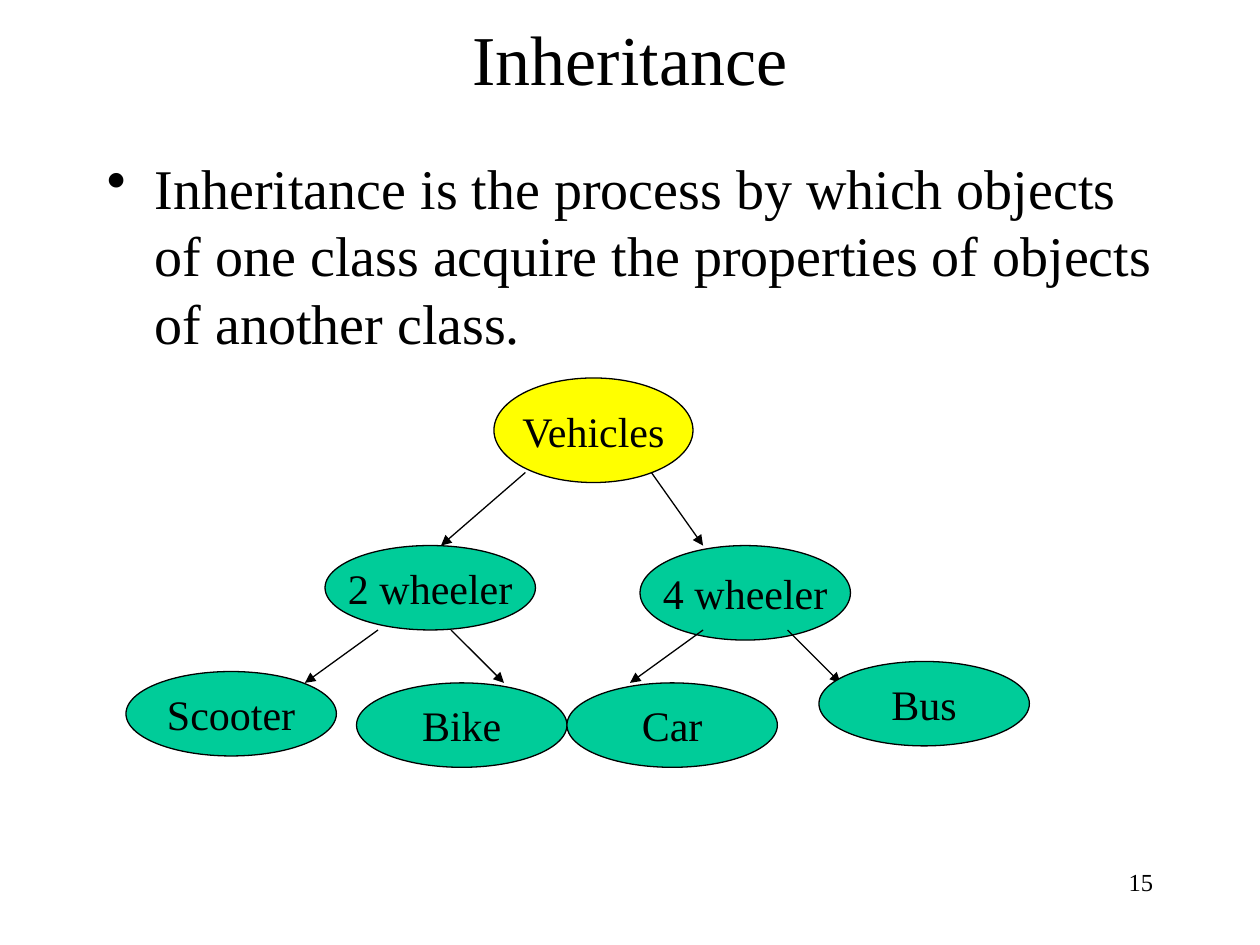
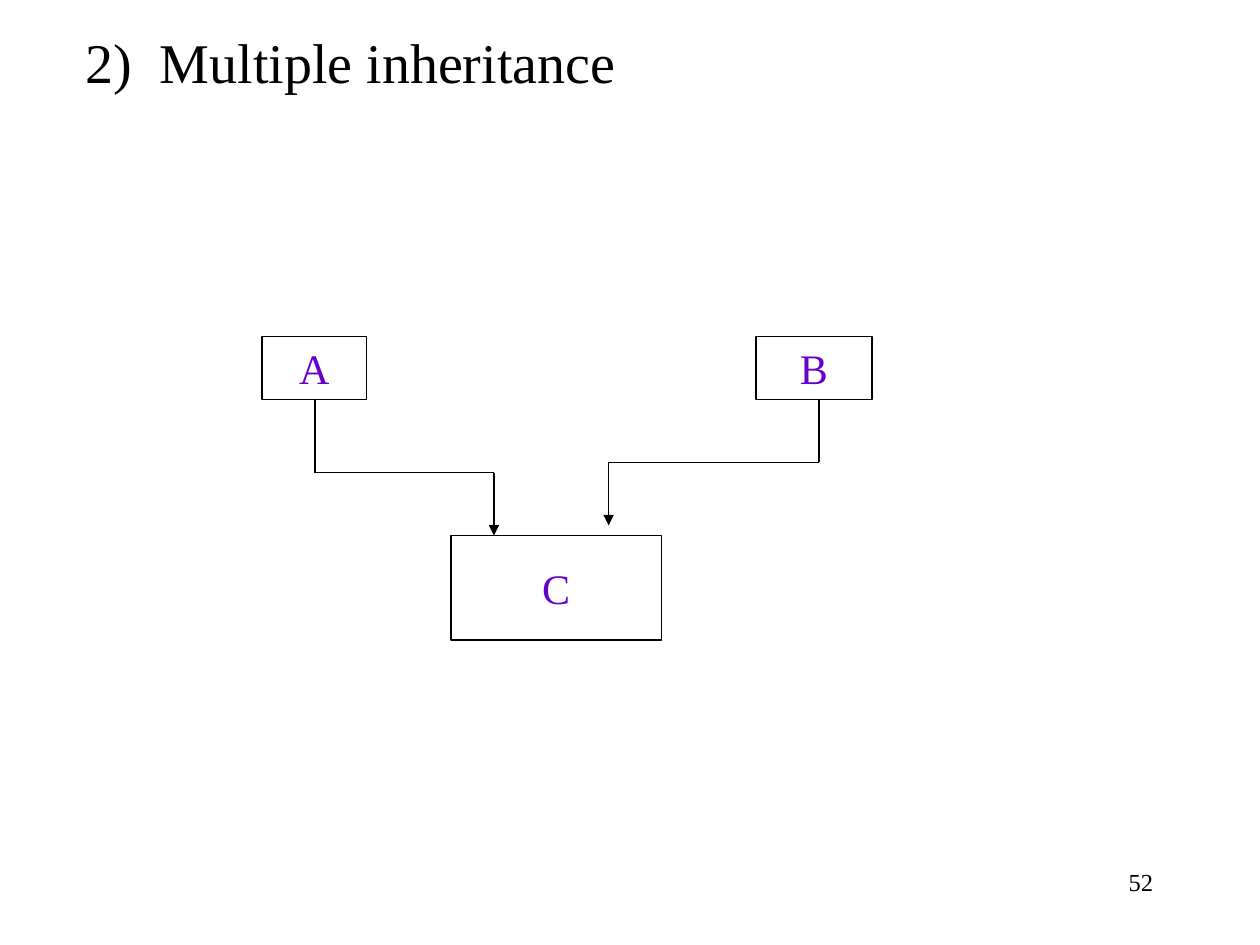
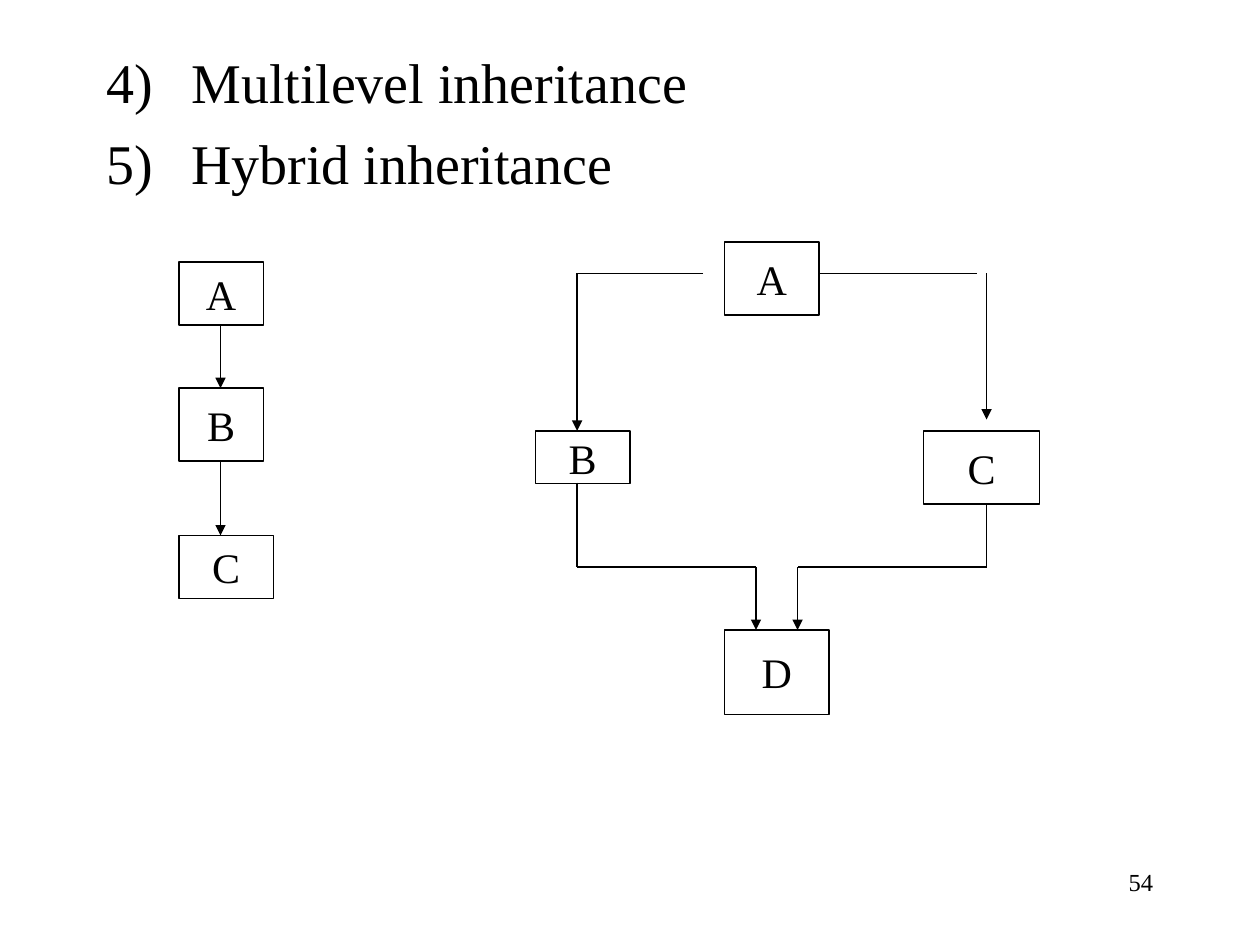
from lxml import etree
from pptx import Presentation
from pptx.dml.color import RGBColor
from pptx.enum.shapes import MSO_CONNECTOR, MSO_SHAPE
from pptx.enum.text import MSO_ANCHOR, PP_ALIGN
from pptx.oxml.ns import qn
from pptx.util import Inches, Pt

BLACK = RGBColor(0x00, 0x00, 0x00)
YELLOW = RGBColor(0xFF, 0xFF, 0x00)
GREEN = RGBColor(0x00, 0xCC, 0x99)
PURPLE = RGBColor(0x66, 0x00, 0xCC)

ELLIPSE, RECTANGLE = MSO_SHAPE.OVAL, MSO_SHAPE.RECTANGLE
STRAIGHT = MSO_CONNECTOR.STRAIGHT
LEFT, CENTER, RIGHT = PP_ALIGN.LEFT, PP_ALIGN.CENTER, PP_ALIGN.RIGHT
TOP, MIDDLE = MSO_ANCHOR.TOP, MSO_ANCHOR.MIDDLE

FONT = "Times New Roman"
TITLE_SIZE, BODY_SIZE, NODE_SIZE, NUMBER_SIZE = 40, 32, 24, 14
LINE_WIDTH = Pt(0.75)
BULLET = ("a:buChar", {"char": "•"})
NUMBERS_FROM_4 = ("a:buAutoNum", {"type": "arabicParenR", "startAt": "4"})


class Deck:
    """Holds the style and the current slide."""

    def __init__(self):
        self.presentation = Presentation()
        self.presentation.slide_width = Inches(10)
        self.presentation.slide_height = Inches(7.5)
        self.slide = None

    def new_slide(self, number):
        layout = self.presentation.slide_layouts[6]
        self.slide = self.presentation.slides.add_slide(layout)
        self.text((7.17, 6.83, 2.08, 0.5), str(number), NUMBER_SIZE, RIGHT)

    def style(self, text_frame, size, alignment, color=BLACK):
        for paragraph in text_frame.paragraphs:
            paragraph.alignment = alignment
            for run in paragraph.runs:
                run.font.name = FONT
                run.font.size = Pt(size)
                run.font.color.rgb = color

    def text(self, box, text, size, alignment=LEFT, anchor=TOP):
        shape = self.slide.shapes.add_textbox(*map(Inches, box))
        text_frame = shape.text_frame
        text_frame.word_wrap = True
        text_frame.vertical_anchor = anchor
        text_frame.text = text
        self.style(text_frame, size, alignment)
        return text_frame

    def title(self, text):
        self.text((0.75, 0.17, 8.5, 0.58), text, TITLE_SIZE, CENTER, MIDDLE)

    def body(self, box, lines, indent, marker=None):
        text_frame = self.text(box, "\n".join(lines), BODY_SIZE)
        for index, paragraph in enumerate(text_frame.paragraphs):
            properties = paragraph._p.get_or_add_pPr()
            properties.set("marL", str(Inches(indent)))
            properties.set("indent", str(-Inches(indent)))
            if marker:
                tag, attributes = marker
                etree.SubElement(properties, qn(tag), attributes)
            if index:
                paragraph.space_before = Pt(8)

    def node(self, kind, box, label, fill=None, color=BLACK):
        shape = self.slide.shapes.add_shape(kind, *map(Inches, box))
        shape.shadow.inherit = False
        if fill is None:
            shape.fill.background()
        else:
            shape.fill.solid()
            shape.fill.fore_color.rgb = fill
        shape.line.color.rgb = BLACK
        shape.line.width = LINE_WIDTH
        text_frame = shape.text_frame
        text_frame.word_wrap = False
        text_frame.vertical_anchor = MIDDLE
        text_frame.text = label
        self.style(text_frame, NODE_SIZE, CENTER, color)

    def route(self, *points, arrow=True):
        """Joins the points by straight lines, with an arrowhead at the last."""
        for start, end in zip(points, points[1:]):
            connector = self.slide.shapes.add_connector(
                STRAIGHT, *map(Inches, start + end))
            connector.line.color.rgb = BLACK
            connector.line.width = LINE_WIDTH
            etree.SubElement(connector._element.spPr, qn("a:effectLst"))
        if arrow:
            etree.SubElement(connector.line._get_or_add_ln(),
                             qn("a:tailEnd"), {"type": "triangle"})


def inheritance_slide(deck):
    deck.new_slide(15)
    deck.title("Inheritance")
    deck.body((0.75, 1.17, 8.5, 5.5),
              ["Inheritance is the process by which objects of one class "
               "acquire the properties of objects of another class."],
              0.38, BULLET)

    # Vehicle tree
    deck.node(ELLIPSE, (3.92, 3, 1.58, 0.83), "Vehicles", YELLOW)
    wheelers = [("2 wheeler", 2.58, 4.33, 0.67), ("4 wheeler", 5.08, 4.33, 0.75)]
    vehicles = [("Scooter", 1, 5.33, 0.67), ("Bike", 2.83, 5.42, 0.67),
                ("Car", 4.5, 5.42, 0.67), ("Bus", 6.5, 5.25, 0.67)]

    for start_x, end_x in [(4.17, 3.5), (5.17, 5.58)]:
        deck.route((start_x, 3.75), (end_x, 4.33))
    for label, left, top, height in wheelers:
        deck.node(ELLIPSE, (left, top, 1.67, height), label, GREEN)
    for start_x, end_x in [(3, 2.42), (3.58, 4), (5.58, 5), (6.25, 6.67)]:
        deck.route((start_x, 5), (end_x, 5.42))
    for label, left, top, height in vehicles:
        deck.node(ELLIPSE, (left, top, 1.67, height), label, GREEN)


def multiple_slide(deck):
    deck.new_slide(52)
    deck.body((0.58, 0.17, 8.58, 6.17), ["2)\tMultiple inheritance"], 0.59)

    # Two parents, one child
    for label, box in [("A", (2.08, 2.67, 0.83, 0.5)),
                       ("B", (6, 2.67, 0.92, 0.5)),
                       ("C", (3.58, 4.25, 1.67, 0.83))]:
        deck.node(RECTANGLE, box, label, color=PURPLE)
    deck.route((2.5, 3.17), (2.5, 3.75), (3.92, 3.75), (3.92, 4.25))
    deck.route((6.5, 3.17), (6.5, 3.67), (4.83, 3.67), (4.83, 4.17))


def multilevel_and_hybrid_slide(deck):
    deck.new_slide(54)
    deck.body((0.75, 0.33, 8.5, 6.33),
              ["Multilevel inheritance", "Hybrid inheritance"],
              0.67, NUMBERS_FROM_4)

    # Multilevel chain
    for label, top, width, height in [("A", 2.08, 0.67, 0.5),
                                      ("B", 3.08, 0.67, 0.58),
                                      ("C", 4.25, 0.75, 0.5)]:
        deck.node(RECTANGLE, (1.42, top, width, height), label)
    deck.route((1.75, 2.58), (1.75, 3.08))
    deck.route((1.75, 3.67), (1.75, 4.25))

    # Hybrid diamond
    for label, box in [("A", (5.75, 1.92, 0.75, 0.58)),
                       ("B", (4.25, 3.42, 0.75, 0.42)),
                       ("C", (7.33, 3.42, 0.92, 0.58)),
                       ("D", (5.75, 5, 0.83, 0.67))]:
        deck.node(RECTANGLE, box, label)
    deck.route((5.58, 2.17), (4.58, 2.17), (4.58, 3.42))
    deck.route((6.5, 2.17), (7.75, 2.17), arrow=False)
    deck.route((7.83, 2.17), (7.83, 3.33))
    deck.route((4.58, 3.83), (4.58, 4.5), (6, 4.5), (6, 5))
    deck.route((7.83, 4), (7.83, 4.5), (6.33, 4.5), (6.33, 5))


def main():
    deck = Deck()
    inheritance_slide(deck)
    multiple_slide(deck)
    multilevel_and_hybrid_slide(deck)
    deck.presentation.save("out.pptx")


if __name__ == "__main__":
    main()
